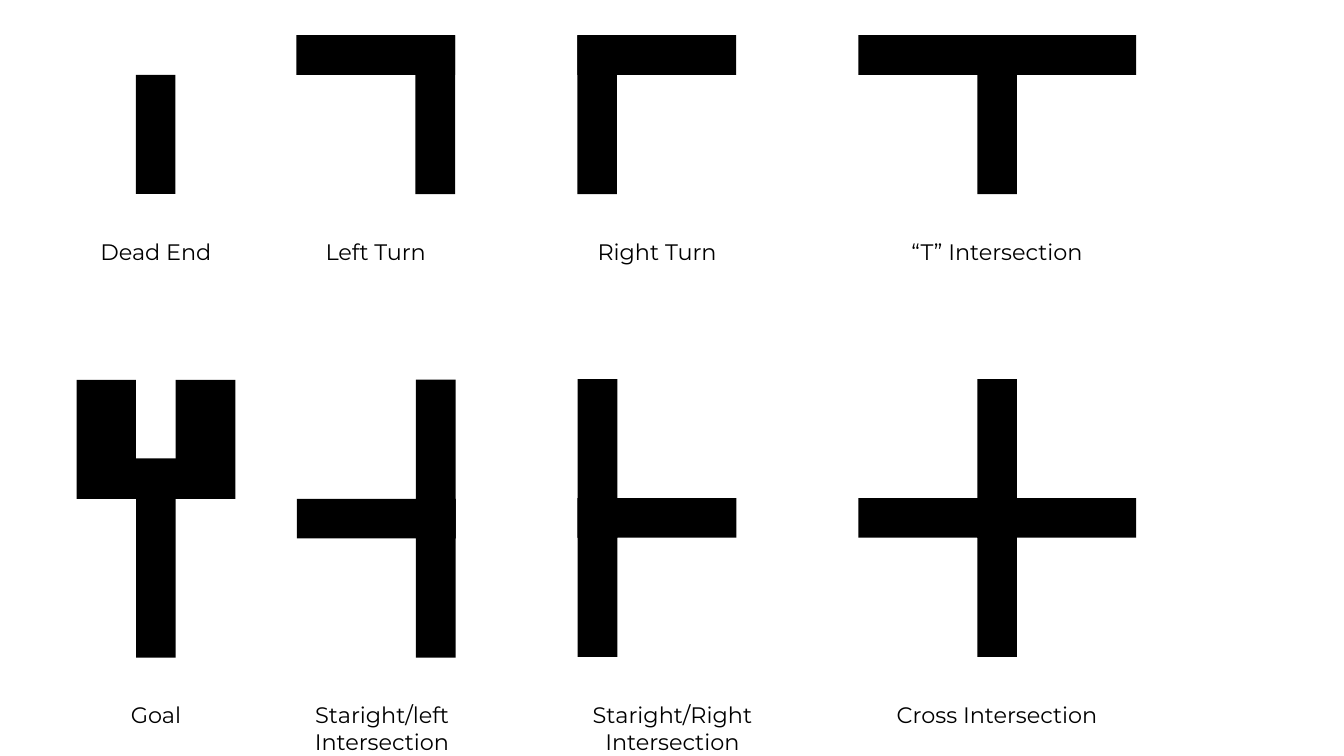
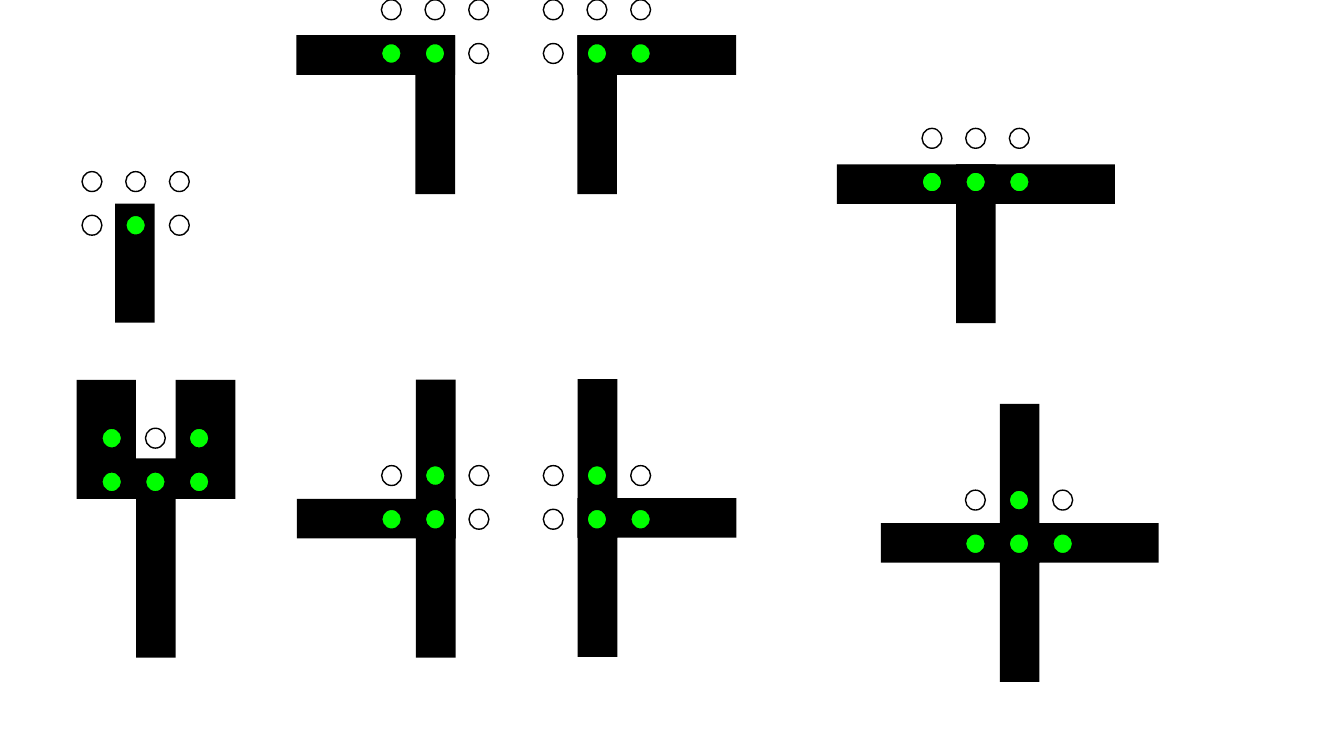
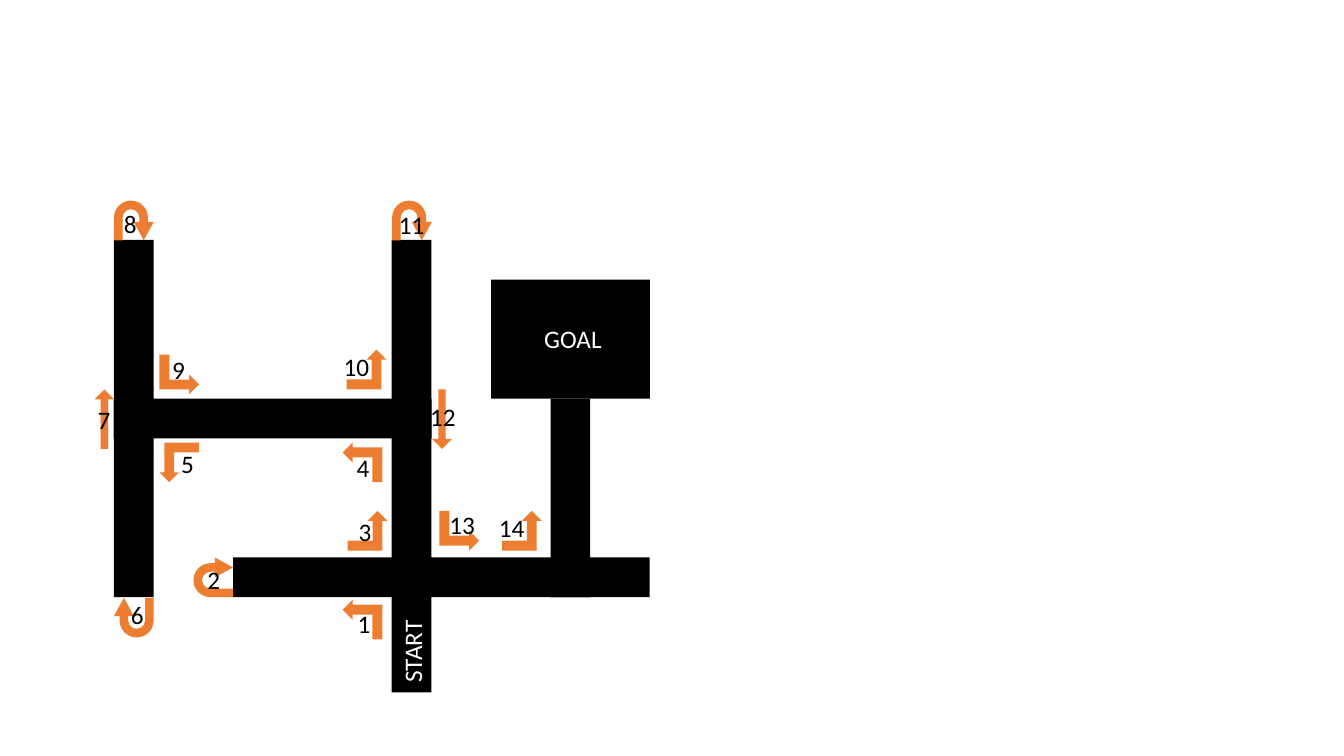
from pptx import Presentation
from pptx import util as u
from pptx.dml.color import RGBColor
from pptx.enum import shapes, text

INK = {"road": "000000", "paper": "FFFFFF", "lit": "00FF00", "arrow": "ED7D31"}
CELL = 28.35
ARM = 4
KIND = shapes.MSO_SHAPE


class Maze:
    """Draws maze roads, sensor dots, arrows and labels on the current slide."""

    def __init__(self):
        self.deck = Presentation()
        self.deck.slide_width, self.deck.slide_height = u.Pt(960), u.Pt(540)

    def page(self):
        self.slide = self.deck.slides.add_slide(self.deck.slide_layouts[6])

    def form(self, kind, x, y, w, h, ink, line=None, turn=0):
        form = self.slide.shapes.add_shape(kind, u.Pt(x), u.Pt(y), u.Pt(w), u.Pt(h))
        form.shadow.inherit = False
        form.rotation = turn
        form.fill.solid()
        form.fill.fore_color.rgb = RGBColor.from_string(INK[ink])
        if line:
            form.line.color.rgb = RGBColor.from_string(INK[line])
            form.line.width = u.Pt(1)
        else:
            form.line.fill.background()
        return form

    def road(self, x, y, cols, rows, ink="road"):
        self.form(KIND.RECTANGLE, x, y, cols * CELL, rows * CELL, ink)

    def joint(self, x, y, arms):
        back = (ARM - 1) * CELL
        for arm in arms:
            left = x - back if arm == "W" else x
            top = y - back if arm == "N" else y
            cols, rows = (ARM, 1) if arm in "EW" else (1, ARM)
            self.road(left, top, cols, rows)

    def goal(self, x, y):
        self.road(x, y, 1, 4)
        self.road(x - 1.5 * CELL, y - 3 * CELL, 4, 3)
        self.road(x, y - 3 * CELL - 0.5, 1, 2, "paper")

    def dots(self, x, y, marks, size=14.2, gap=31.2):
        for i, mark in enumerate(marks):
            row, col = divmod(i, 3)
            left = x + (col - 1) * gap - size / 2
            top = y + (row - 1) * gap - size / 2
            ink = "lit" if mark == "o" else "paper"
            self.form(KIND.FLOWCHART_CONNECTOR, left, top, size, size, ink, "road")

    def arrow(self, kind, x, y, turn):
        w, h = (42.5, 14.2) if kind == KIND.RIGHT_ARROW else (CELL, CELL)
        form = self.form(kind, x, y, w, h, "arrow", turn=turn)
        for i, value in enumerate(BENDS[kind]):
            form.adjustments[i] = value

    def label(self, words, x, y, w, h, font, size, ink="road", wrap=False, turn=0):
        box = self.slide.shapes.add_textbox(u.Pt(x), u.Pt(y), u.Pt(w), u.Pt(h))
        box.rotation = turn
        frame = box.text_frame
        frame.word_wrap = wrap
        frame.auto_size = text.MSO_AUTO_SIZE.SHAPE_TO_FIT_TEXT
        para = frame.paragraphs[0]
        para.alignment = text.PP_ALIGN.CENTER if wrap else text.PP_ALIGN.LEFT
        run = para.add_run()
        run.text = words
        run.font.name, run.font.size = font, u.Pt(size)
        run.font.color.rgb = RGBColor.from_string(INK[ink])

    def name(self, words, x, y, w, h=26.6):
        self.label(words, x, y, w, h, "Montserrat", 16, wrap=True)

    def note(self, words, x, y, w, ink="road", turn=0):
        self.label(words, x, y, w, 29, "Calibri", 18, ink, turn=turn)


BENT, LOOP, LONG = KIND.BENT_UP_ARROW, KIND.U_TURN_ARROW, KIND.RIGHT_ARROW
BENDS = {BENT: [], LOOP: [0.217, 0.25, 0.46, 0.429, 1], LONG: [0.373, 0.5]}

JOINTS = [
    ("SW", (296.8, 25.2), (296.8, 25.2), (310.7, 38.2), "...oo."),
    ("SE", (412.4, 25.2), (412.4, 25.2), (426.4, 38.2), "....oo"),
    ("SEW", (698.1, 25.2), (682.9, 117.4), (696.9, 130), "...ooo"),
    ("NESW", (698.1, 355.8), (714.2, 373.6), (727.9, 388.4), ".o.ooo"),
    ("NSW", (297.1, 356.3), (297.1, 356.3), (310.9, 370.9), ".o.oo."),
    ("NES", (412.6, 355.8), (412.6, 355.8), (426.4, 370.9), ".o..oo"),
]
NAMES = [
    ("Dead End", 54.7, 166.3, 113.4),
    ("Left Turn", 211.7, 166.3, 113.4),
    ("Right Turn", 412.6, 166.3, 113.4),
    ("“T” Intersection", 613, 166.3, 198.4),
    ("Goal", 54.7, 497.5, 113.4),
    ("Staright/left Intersection", 211.7, 497.5, 122.4, 46),
    ("Staright/Right Intersection", 412.6, 497.5, 135.4, 46),
    ("Cross Intersection", 613, 497.5, 198.4),
]
ROADS = [
    (7, 8, 1, 3.4), (7, 8, 5, 1), (11, 4, 1, 5), (11, 8, 2.5, 1),
    (3, 8, 5, 1), (7, 4, 1, 5), (0, 4, 8, 1), (7, 0, 1, 5),
    (0, 0, 1, 5), (0, 4, 1, 5), (9.5, 1, 4, 3),
]
STEPS = [
    (BENT, 244.8, 428.4, 270, 248.4, 431.3),
    (LOOP, 138.2, 398.2, 270, 141.1, 399.6),
    (BENT, 248.4, 365, 0, 249.1, 365),
    (BENT, 244.8, 316.1, 270, 247.7, 319.7),
    (BENT, 113.8, 316.1, 180, 122.4, 316.8),
    (LOOP, 81.4, 427, 180, 86.4, 424.8),
    (LONG, 53.3, 292.3, 270, 62.6, 285.1),
    (LOOP, 81.4, 143.3, 0, 81.4, 145.4),
    (BENT, 113.8, 253.4, 90, 115.9, 249.8),
    (BENT, 247.7, 249.8, 0, 238.3, 247.7),
    (LOOP, 280.1, 143.3, 0, 277.9, 146.2),
    (LONG, 294.5, 292.3, 90, 300.2, 283),
    (BENT, 313.9, 365, 90, 313.9, 360),
    (BENT, 358.6, 365, 0, 349.2, 362.2),
]


def main():
    maze = Maze()

    maze.page()
    for arms, spot, *_ in JOINTS:
        maze.joint(*spot, arms)
    maze.road(97, 53.5, 1, 3)
    maze.goal(97.2, 356.4)
    for name in NAMES:
        maze.name(*name)

    maze.page()
    for arms, _, spot, mid, marks in JOINTS:
        maze.joint(*spot, arms)
        maze.dots(*mid, marks)
    maze.goal(97.2, 356.4)
    maze.dots(111, 344.2, "o.oooo")
    maze.road(82.2, 145.5, 1, 3)
    maze.dots(96.9, 160.9, "....o.")

    maze.page()
    for col, row, cols, rows in ROADS:
        maze.road(81.4 + col * CELL, 171.4 + row * CELL, cols, rows)
    for step, (kind, x, y, turn, left, top) in enumerate(STEPS, 1):
        maze.arrow(kind, x, y, turn)
        maze.note(str(step), left, top, 23.8 if step < 10 else 33.1)
    maze.note("GOAL", 381.6, 227.5, 56.2, "paper")
    maze.note("START", 265, 450.7, 59, "paper", 270)

    maze.deck.save("out.pptx")


if __name__ == "__main__":
    main()
